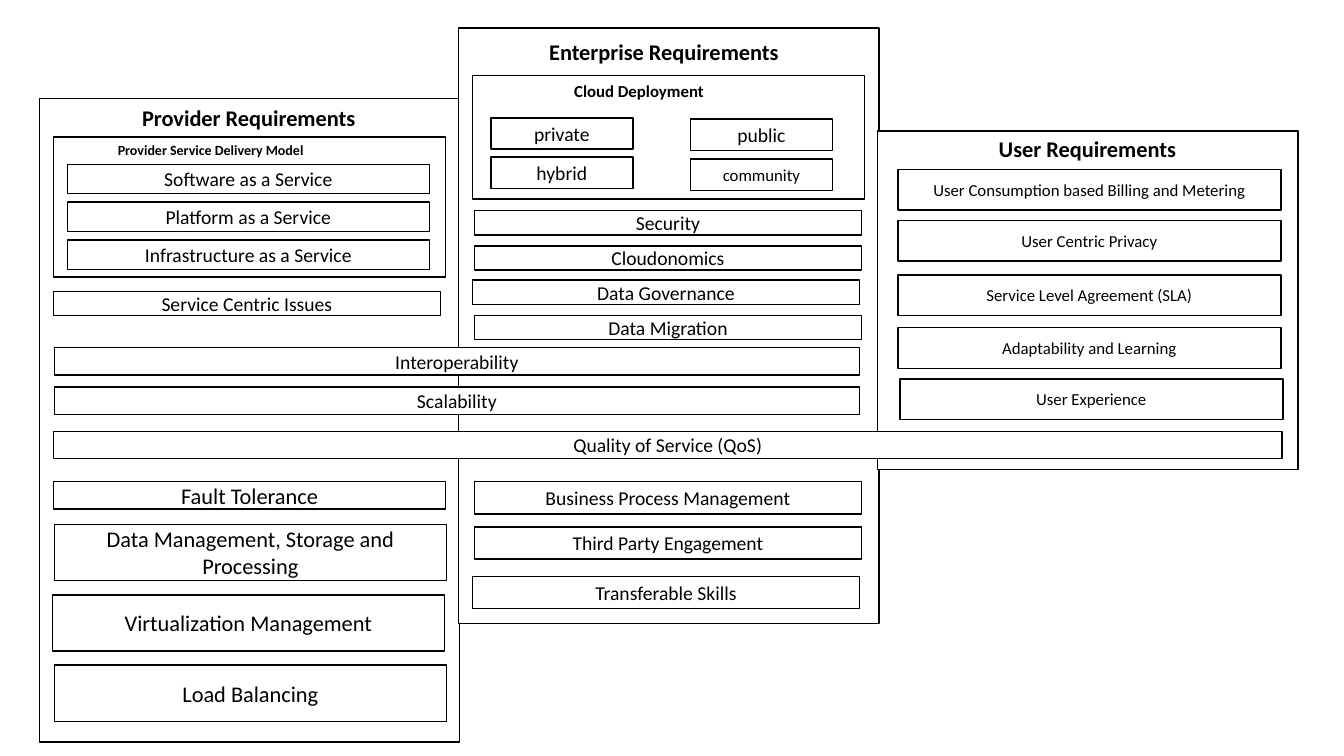
from pptx import Presentation
from pptx.dml.color import RGBColor
from pptx.enum.text import MSO_ANCHOR, PP_ALIGN
from pptx.util import Cm, Pt

COLORS = {"ink": "000000", "paper": "FFFFFF"}
FONT = "Calibri"

# left, top, width, height
PANELS = [
    (0.99, 2.49, 10.59, 16.21),
    (11.56, 0.71, 10.59, 15.01),
    (22.12, 3.3, 10.59, 8.53),
]
FRAMES = [(11.91, 1.9, 9.88, 3.12), (1.35, 3.45, 9.88, 3.53)]

# text, left, top, width, height, size
LABELS = [
    ("Provider Requirements", 3.33, 2.49, 8.94, 0.97, 16),
    ("Enterprise Requirements", 13.59, 0.84, 8.94, 0.97, 16),
    ("User Requirements", 24.92, 3.28, 8.94, 0.97, 16),
    ("Cloud Deployment", 14.22, 1.9, 5.61, 0.79, 12),
    ("Provider Service Delivery Model", 2.72, 3.45, 7.39, 0.71, 10),
]

# width, height, size, then the boxes that share them: text, left, top
STACKS = [
    (3.58, 0.79, 14, [
        ("private", 12.37, 2.97),
        ("hybrid", 12.37, 3.96),
        ("public", 17.4, 3.0),
    ]),
    (3.58, 0.79, 12, [("community", 17.4, 4.01)]),
    (9.12, 0.74, 14, [
        ("Software as a Service", 1.7, 4.14),
        ("Platform as a Service", 1.7, 5.09),
        ("Infrastructure as a Service", 1.7, 6.05),
    ]),
    (9.75, 0.61, 14, [
        ("Service Centric Issues", 1.35, 7.34),
        ("Security", 11.96, 5.31),
        ("Cloudonomics", 11.96, 6.2),
        ("Data Governance", 11.91, 7.06),
        ("Data Migration", 11.96, 7.95),
    ]),
    (20.29, 0.69, 14, [
        ("Interoperability", 1.37, 8.76),
        ("Scalability", 1.37, 9.75),
    ]),
    (30.96, 0.69, 14, [("Quality of Service (QoS)", 1.35, 10.87)]),
    (9.65, 1.02, 12, [
        ("User Consumption based Billing and Metering", 22.63, 4.27),
        ("User Centric Privacy", 22.63, 5.56),
        ("Service Level Agreement (SLA)", 22.63, 6.93),
        ("Adaptability and Learning", 22.63, 8.26),
        ("User Experience", 22.68, 9.55),
    ]),
    (9.75, 0.81, 14, [
        ("Business Process Management", 11.96, 12.14),
        ("Third Party Engagement", 11.96, 13.28),
        ("Transferable Skills", 11.91, 14.53),
    ]),
    (9.88, 0.69, 16, [("Fault Tolerance", 1.35, 12.14)]),
    (9.88, 1.42, 16, [
        ("Data Management, Storage and Processing", 1.37, 13.21),
        ("Virtualization Management", 1.32, 14.99),
        ("Load Balancing", 1.37, 16.76),
    ]),
]


def tint(name):
    """Return the named colour."""
    return RGBColor.from_string(COLORS[name])


def write(shape, text, size, bold=False):
    """Put one run of text in a shape and return its paragraph."""
    shape.text_frame.word_wrap = True
    para = shape.text_frame.paragraphs[0]
    run = para.add_run()
    run.text = text
    run.font.name = FONT
    run.font.size = Pt(size)
    run.font.bold = bold
    run.font.color.rgb = tint("ink")
    return para


def add_box(slide, left, top, width, height):
    """Draw a white rectangle with a thin black outline."""
    box = slide.shapes.add_shape(1, Cm(left), Cm(top), Cm(width), Cm(height))
    box.shadow.inherit = False
    box.fill.solid()
    box.fill.fore_color.rgb = tint("paper")
    box.line.color.rgb = tint("ink")
    box.line.width = Pt(1)
    return box


def add_item(slide, text, left, top, width, height, size):
    """Draw a box with centred text."""
    box = add_box(slide, left, top, width, height)
    box.text_frame.vertical_anchor = MSO_ANCHOR.MIDDLE
    write(box, text, size).alignment = PP_ALIGN.CENTER


def add_label(slide, text, left, top, width, height, size):
    """Place a bold heading."""
    label = slide.shapes.add_textbox(Cm(left), Cm(top), Cm(width), Cm(height))
    write(label, text, size, bold=True)


def main():
    """Build the slide and save it."""
    deck = Presentation()
    deck.slide_width, deck.slide_height = Cm(33.87), Cm(19.05)
    slide = deck.slides.add_slide(deck.slide_layouts[6])
    for place in PANELS + FRAMES:
        add_box(slide, *place)
    for label in LABELS:
        add_label(slide, *label)
    for width, height, size, items in STACKS:
        for text, left, top in items:
            add_item(slide, text, left, top, width, height, size)
    deck.save("out.pptx")


main()
